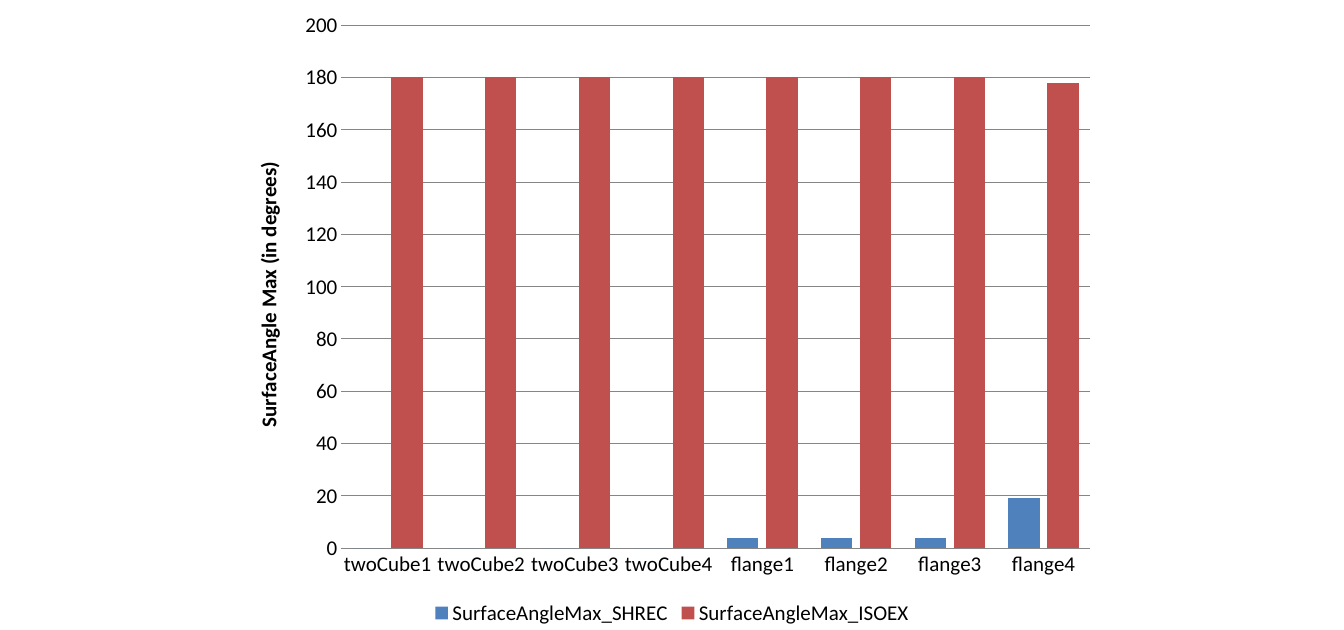
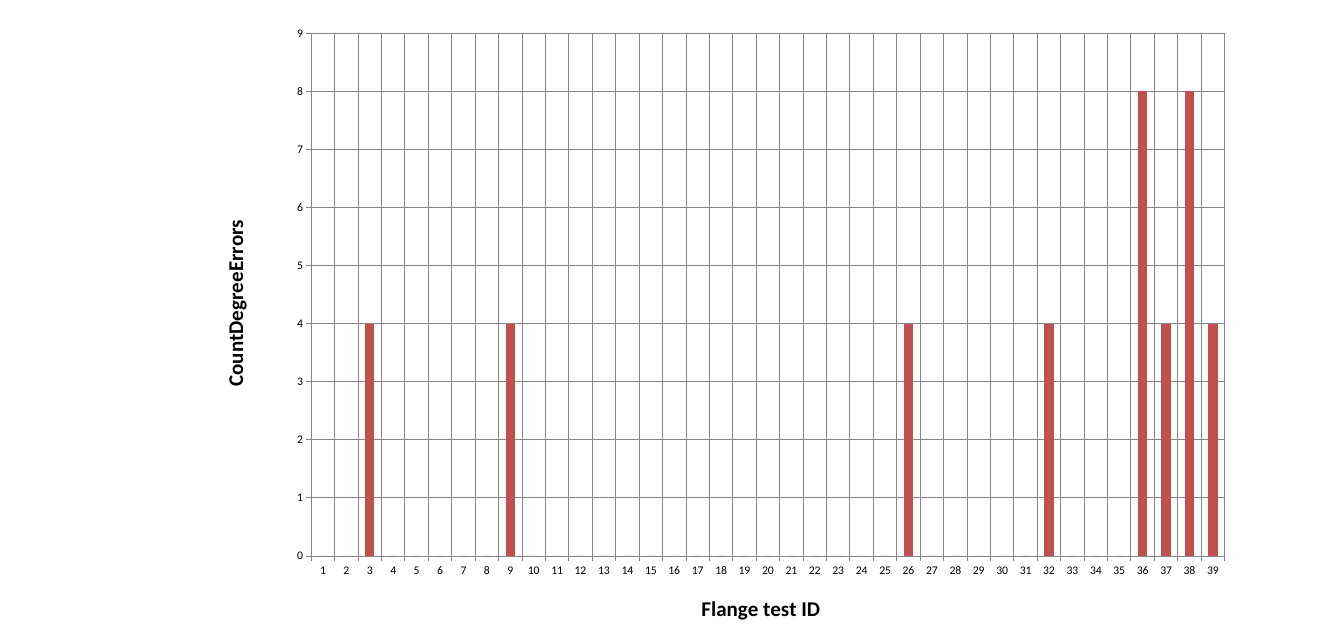
from dataclasses import dataclass

from lxml.etree import SubElement
from pptx import Presentation
from pptx.chart.axis import CategoryAxis, ValueAxis
from pptx.chart.data import CategoryChartData
from pptx.dml.color import RGBColor
from pptx.enum.chart import XL_CHART_TYPE, XL_LEGEND_POSITION, XL_TICK_MARK
from pptx.oxml.ns import qn
from pptx.oxml.xmlchemy import BaseOxmlElement
from pptx.slide import Slide
from pptx.util import Inches, Pt

COLORS = {"text": "000000", "line": "868686", "shrec": "4F81BD", "isoex": "C0504D"}
FONT = "Calibri"
AXIS_TITLE_SIZE = 18


@dataclass
class Series:
    name: str
    values: list[float]
    color: str


@dataclass
class ColumnChart:
    place: tuple[float, float, float, float]
    plot_area: tuple[float, float, float, float]
    categories: list[str]
    series: list[Series]
    value_title: str
    value_max: float
    value_step: float
    label_size: int
    gap: int
    overlap: int = 0
    category_title: str = ""
    value_title_place: tuple[float, float] | None = None
    ticks: XL_TICK_MARK = XL_TICK_MARK.NONE
    category_grid: bool = False
    value_line: bool = True
    legend: bool = False


def rgb(name: str) -> RGBColor:
    return RGBColor.from_string(COLORS[name])


def set_layout(part: BaseOxmlElement, index: int, fractions: tuple[float, ...],
               target: str = "") -> None:
    """Place a chart part by x, y and optional width, height fractions of the chart."""
    for automatic in part.findall(qn("c:layout")):
        part.remove(automatic)
    layout = SubElement(part, qn("c:layout"))
    part.insert(index, layout)
    manual = SubElement(layout, qn("c:manualLayout"))
    settings = {"layoutTarget": target} if target else {}
    settings |= {"xMode": "edge", "yMode": "edge"}
    settings |= dict(zip("xywh", map(str, fractions)))
    for tag, value in settings.items():
        SubElement(manual, qn(f"c:{tag}")).set("val", value)


def style_axis(axis: CategoryAxis | ValueAxis, title: str,
               ticks: XL_TICK_MARK, grid: bool) -> None:
    axis.major_tick_mark = ticks
    axis.minor_tick_mark = XL_TICK_MARK.NONE
    axis.format.line.color.rgb = rgb("line")
    axis.format.line.width = Pt(0.75)
    axis.has_major_gridlines = grid
    if grid:
        axis.major_gridlines.format.line.color.rgb = rgb("line")
        axis.major_gridlines.format.line.width = Pt(0.75)
    axis.has_title = bool(title)
    if title:
        frame = axis.axis_title.text_frame
        frame.text = title
        font = frame.paragraphs[0].runs[0].font
        font.name, font.size, font.bold = FONT, Pt(AXIS_TITLE_SIZE), True
        font.color.rgb = rgb("text")


def add_column_chart(slide: Slide, design: ColumnChart) -> None:
    data = CategoryChartData()
    data.categories = design.categories
    for series in design.series:
        data.add_series(series.name, series.values)
    chart = slide.shapes.add_chart(XL_CHART_TYPE.COLUMN_CLUSTERED,
                                   *map(Inches, design.place), data).chart
    chart.has_title = False
    chart.font.name, chart.font.size = FONT, Pt(design.label_size)
    chart.font.color.rgb = rgb("text")
    chart.has_legend = design.legend
    if design.legend:
        chart.legend.position = XL_LEGEND_POSITION.BOTTOM
        chart.legend.include_in_layout = False

    columns = chart.plots[0]
    columns.vary_by_categories = False
    columns.gap_width, columns.overlap = design.gap, design.overlap
    for drawn, series in zip(columns.series, design.series):
        drawn.invert_if_negative = False
        drawn.format.fill.solid()
        drawn.format.fill.fore_color.rgb = rgb(series.color)

    values = chart.value_axis
    style_axis(chart.category_axis, design.category_title, design.ticks, design.category_grid)
    style_axis(values, design.value_title, design.ticks, True)
    value_title = values.axis_title.element
    value_title.find(".//" + qn("a:bodyPr")).set("rot", "-5400000")
    if design.value_title_place:
        set_layout(value_title, 1, design.value_title_place)
    values.minimum_scale, values.maximum_scale = 0, design.value_max
    values.major_unit = design.value_step
    if not design.value_line:
        values.format.line.fill.background()
    set_layout(chart.element.find(".//" + qn("c:plotArea")), 0, design.plot_area, "inner")


def surface_angles() -> ColumnChart:
    return ColumnChart(
        place=(2.81, 0, 10.38, 7.5),
        plot_area=(0.12, 0.04, 0.86, 0.83),
        categories=[f"{model}{n}" for model in ("twoCube", "flange") for n in range(1, 5)],
        series=[
            Series("SurfaceAngleMax_SHREC", [0] * 4 + [4, 4, 4, 19], "shrec"),
            Series("SurfaceAngleMax_ISOEX", [180] * 7 + [178], "isoex"),
        ],
        value_title="SurfaceAngle Max (in degrees)",
        value_max=200, value_step=20, label_size=18, gap=75, overlap=-25,
        value_line=False, legend=True,
    )


def degree_errors() -> ColumnChart:
    errors = {3: 4, 9: 4, 26: 4, 32: 4, 36: 8, 37: 4, 38: 8, 39: 4}
    tests = range(1, 40)
    return ColumnChart(
        place=(2.33, 0.17, 12.5, 7.5),
        plot_area=(0.11, 0.03, 0.87, 0.83),
        categories=[str(test) for test in tests],
        series=[Series("Series 1", [errors.get(test, 0) for test in tests], "isoex")],
        value_title="CountDegreeErrors", category_title="Flange test ID",
        value_title_place=(0.02, 0.32),
        value_max=9, value_step=1, label_size=10, gap=150,
        ticks=XL_TICK_MARK.OUTSIDE, category_grid=True,
    )


def main() -> None:
    deck = Presentation()
    deck.slide_width, deck.slide_height = Inches(16), Inches(7.5)
    blank = deck.slide_layouts[6]
    for design in (surface_angles(), degree_errors()):
        add_column_chart(deck.slides.add_slide(blank), design)
    deck.save("out.pptx")


if __name__ == "__main__":
    main()
